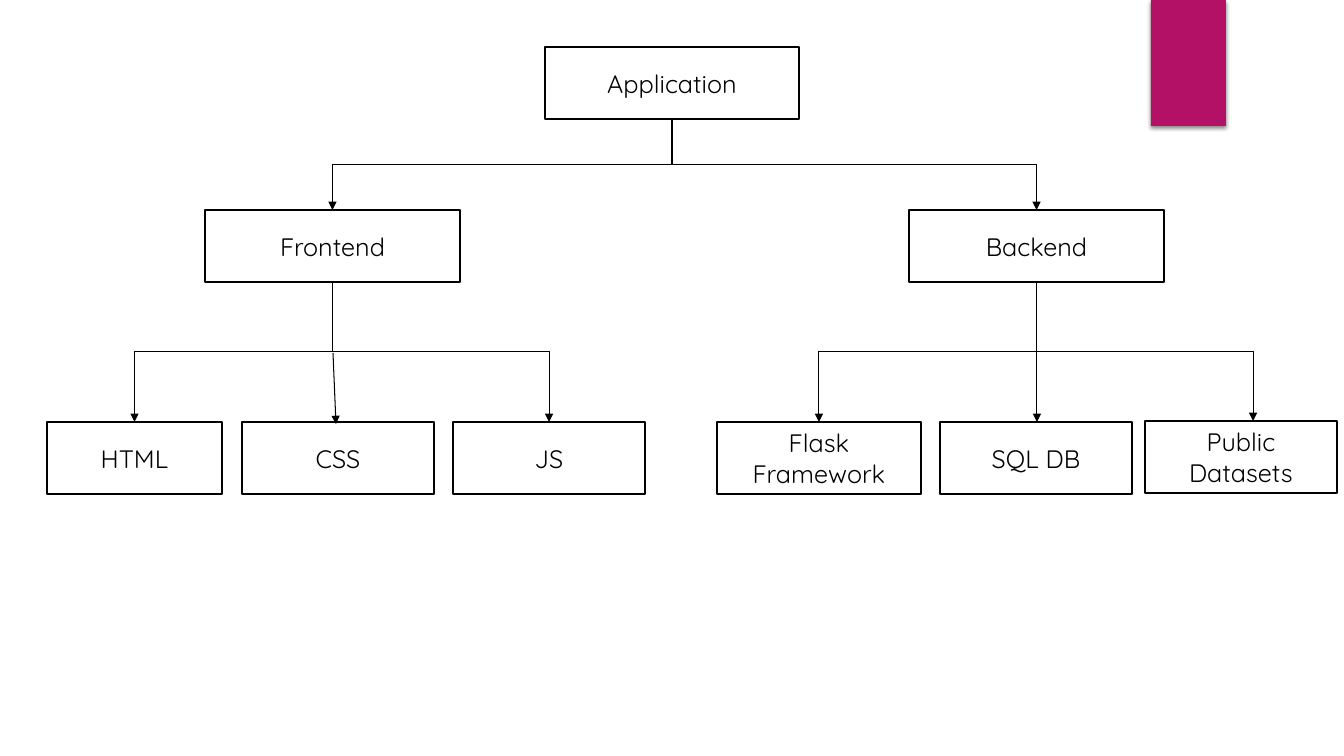
"""Build a slide with the component tree of a web application."""
from lxml import etree
from pptx import Presentation
from pptx.dml.color import RGBColor
from pptx.enum.shapes import MSO_CONNECTOR, MSO_SHAPE
from pptx.enum.text import MSO_ANCHOR, PP_ALIGN
from pptx.oxml.ns import qn
from pptx.util import Pt

SLIDE_WIDTH, SLIDE_HEIGHT = 1344, 756
EMU_PER_PX = 12192000 / SLIDE_WIDTH
BOX_HEIGHT = 72
FONT = "Quicksand"
BLACK = RGBColor(0x00, 0x00, 0x00)
WHITE = RGBColor(0xFF, 0xFF, 0xFF)
MAGENTA = RGBColor(0xB3, 0x11, 0x66)
RECTANGLE = MSO_SHAPE.RECTANGLE
ELBOW, STRAIGHT = MSO_CONNECTOR.ELBOW, MSO_CONNECTOR.STRAIGHT
CENTER, MIDDLE = PP_ALIGN.CENTER, MSO_ANCHOR.MIDDLE
TOP_SITE, BOTTOM_SITE = 0, 2

ACCENT = (1151, 0, 75, 126)
BOXES = {
    "Application": (545, 47, 254),
    "Frontend": (205, 210, 255),
    "Backend": (909, 210, 255),
    "HTML": (47, 422, 175),
    "CSS": (242, 422, 192),
    "JS": (453, 422, 192),
    "Flask Framework": (717, 422, 204),
    "SQL DB": (940, 422, 192),
    "Public Datasets": (1145, 421, 192),
}
BRANCHES = [
    ("Application", "Frontend"),
    ("Application", "Backend"),
    ("Frontend", "HTML"),
    ("Frontend", "JS"),
    ("Backend", "Flask Framework"),
    ("Backend", "Public Datasets"),
]
ARROW_SHIFTS = {"Public Datasets": 12}
STEMS = [(333, 353, 336, 424), (1037, 352, 1037, 422)]


def px(length):
    return round(length * EMU_PER_PX)


def write_text(shape, text, size=18, color=BLACK, font=FONT, align=CENTER):
    frame = shape.text_frame
    frame.word_wrap = True
    frame.vertical_anchor = MIDDLE
    paragraph = frame.paragraphs[0]
    paragraph.alignment = align
    run = paragraph.add_run()
    run.text = text
    run.font.size = Pt(size)
    run.font.name = font
    run.font.color.rgb = color


def add_rectangle(slide, left, top, width, height, fill):
    shape = slide.shapes.add_shape(RECTANGLE, px(left), px(top), px(width), px(height))
    shape.shadow.inherit = False
    shape.fill.solid()
    shape.fill.fore_color.rgb = fill
    return shape


def add_accent(slide):
    shape = add_rectangle(slide, *ACCENT, MAGENTA)
    shape.line.fill.background()
    effects = shape._element.spPr.find(qn("a:effectLst"))
    shadow = etree.SubElement(effects, qn("a:outerShdw"), blurRad=str(Pt(3)),
                              dist=str(Pt(2)), dir="5400000", rotWithShape="0")
    color = etree.SubElement(shadow, qn("a:srgbClr"), val=str(BLACK))
    etree.SubElement(color, qn("a:alpha"), val="45000")


def add_box(slide, text, left, top, width):
    shape = add_rectangle(slide, left, top, width, BOX_HEIGHT, WHITE)
    shape.line.color.rgb = BLACK
    shape.line.width = Pt(1.5)
    write_text(shape, text)
    return shape


def add_arrow(slide, kind, *ends):
    connector = slide.shapes.add_connector(kind, *map(px, ends))
    connector.line.color.rgb = BLACK
    connector.line.width = Pt(0.75)
    etree.SubElement(connector.line._get_or_add_ln(), qn("a:tailEnd"), type="triangle")
    etree.SubElement(connector._element.spPr, qn("a:effectLst"))
    return connector


def add_branch(slide, shapes, parent, child):
    parent_left, parent_top, parent_width = BOXES[parent]
    child_left, child_top, child_width = BOXES[child]
    shift = ARROW_SHIFTS.get(child, 0)
    start_x, start_y = parent_left + parent_width / 2, parent_top + BOX_HEIGHT
    end_x, end_y = child_left + child_width / 2 + shift, child_top
    connector = add_arrow(slide, ELBOW, start_x, start_y, end_x, end_y)
    connector.begin_connect(shapes[parent], BOTTOM_SITE)
    if not shift:
        connector.end_connect(shapes[child], TOP_SITE)

    drop, reach = end_y - start_y, abs(end_x - start_x)
    connector.left = px((start_x + end_x - drop) / 2)
    connector.top = px((start_y + end_y - reach) / 2)
    connector.width, connector.height = px(drop), px(reach)
    goes_right = end_x > start_x
    transform = connector._element.spPr.find(qn("a:xfrm"))
    transform.set("rot", "16200000" if goes_right else "5400000")
    transform.set("flipH", "1" if goes_right else "0")
    transform.set("flipV", "0")


def main():
    presentation = Presentation()
    presentation.slide_width, presentation.slide_height = px(SLIDE_WIDTH), px(SLIDE_HEIGHT)
    slide = presentation.slides.add_slide(presentation.slide_layouts[6])
    add_accent(slide)
    shapes = {text: add_box(slide, text, *place) for text, place in BOXES.items()}
    for parent, child in BRANCHES:
        add_branch(slide, shapes, parent, child)
    for stem in STEMS:
        add_arrow(slide, STRAIGHT, *stem)
    presentation.save("out.pptx")


if __name__ == "__main__":
    main()
